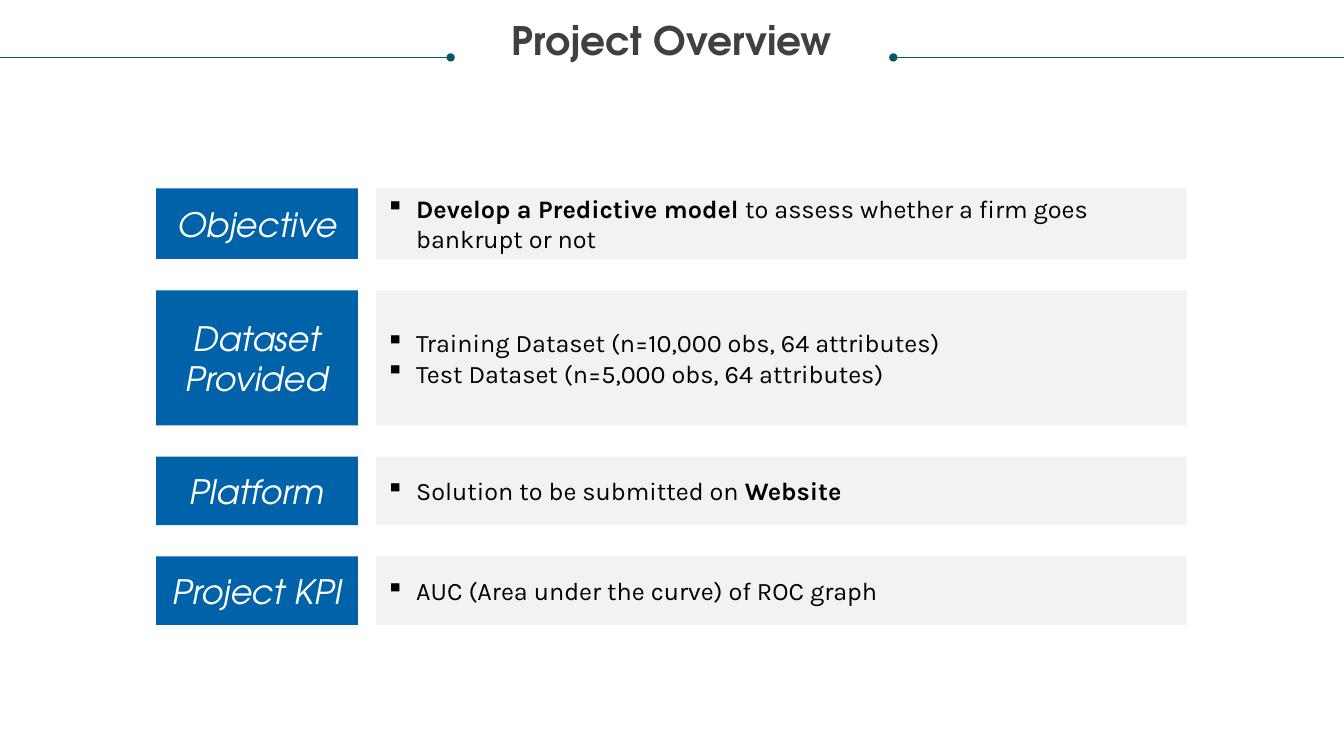
from lxml.etree import SubElement
from pptx import Presentation
from pptx.dml.color import RGBColor
from pptx.enum.shapes import MSO_CONNECTOR, MSO_SHAPE
from pptx.enum.text import MSO_ANCHOR, MSO_AUTO_SIZE, PP_ALIGN
from pptx.oxml.ns import qn
from pptx.util import Inches, Pt


def color(hex_string):
    return RGBColor.from_string(hex_string)


def set_font(font, name, size, hex_string, bold=False, italic=False):
    font.name = name
    font.size = Pt(size)
    font.color.rgb = color(hex_string)
    font.bold = bold
    font.italic = italic


class OverviewSlide:
    heading_font = "TeX Gyre Adventor"
    body_font = "Karla"
    label_fill = "0062A9"
    panel_fill = "F2F2F2"
    rule_color = "085764"
    cell = Inches(0.1)

    def __init__(self, presentation):
        self.slide = presentation.slides.add_slide(presentation.slide_layouts[5])

    def grid(self, *cells):
        return [round(count * self.cell) for count in cells]

    def title(self, text, *box):
        shape = self.slide.shapes.title
        shape.left, shape.top, shape.width, shape.height = self.grid(*box)
        frame = shape.text_frame
        frame.text = text
        frame.auto_size = MSO_AUTO_SIZE.NONE
        frame.vertical_anchor = MSO_ANCHOR.TOP
        frame.margin_left = frame.margin_right = 0
        frame.margin_top = frame.margin_bottom = 0
        paragraph = frame.paragraphs[0]
        paragraph.alignment = PP_ALIGN.CENTER
        paragraph.line_spacing = 0.9
        set_font(paragraph.font, self.heading_font, 28, "404040", bold=True)

    def dotted_rule(self, edge, dot, row):
        line = self.slide.shapes.add_connector(
            MSO_CONNECTOR.STRAIGHT, *self.grid(edge, row, dot, row))
        line.line.color.rgb = color(self.rule_color)
        line.line.width = Pt(0.5)
        SubElement(line.line._get_or_add_ln(), qn("a:tailEnd"), type="oval")
        SubElement(line._element.spPr, qn("a:effectLst"))

    def rectangle(self, fill, box):
        shape = self.slide.shapes.add_shape(MSO_SHAPE.RECTANGLE, *self.grid(*box))
        shape.shadow.inherit = False
        shape.fill.solid()
        shape.fill.fore_color.rgb = color(fill)
        shape.line.fill.background()
        frame = shape.text_frame
        frame.word_wrap = True
        frame.vertical_anchor = MSO_ANCHOR.MIDDLE
        frame.margin_left = frame.margin_right = Inches(0.1)
        frame.margin_top = frame.margin_bottom = Inches(0.04)
        return frame

    def label(self, text, *box):
        frame = self.rectangle(self.label_fill, box)
        frame.text = text
        paragraph = frame.paragraphs[0]
        paragraph.alignment = PP_ALIGN.CENTER
        set_font(paragraph.font, self.heading_font, 24, "FFFFFF", italic=True)

    def bullet_panel(self, items, *box):
        frame = self.rectangle(self.panel_fill, box)
        for index, runs in enumerate(items):
            paragraph = frame.add_paragraph() if index else frame.paragraphs[0]
            paragraph.alignment = PP_ALIGN.LEFT
            set_font(paragraph.font, self.body_font, 18, "000000")
            self.add_bullet(paragraph)
            for text, bold in runs:
                run = paragraph.add_run()
                run.text = text
                if bold:
                    run.font.bold = True

    def add_bullet(self, paragraph):
        properties = paragraph._p.get_or_add_pPr()
        properties.set("marL", str(Inches(0.3)))
        properties.set("indent", str(-Inches(0.3)))
        bullet = properties.makeelement(qn("a:buChar"), {"char": "▪"})
        properties.insert(0, bullet)


SLIDE_COLUMNS = 133.3
LABEL_LEFT, LABEL_WIDTH = 15.5, 20
PANEL_LEFT, PANEL_WIDTH = 37.3, 80.4
FIRST_ROW, ROW_GAP = 18.7, 3.1
RULE_ROW, RULE_LENGTH = 5.7, 44.7

SECTIONS = [
    ("Objective", 7, [[("Develop a Predictive model ", True),
                       ("to assess whether a firm goes bankrupt or not", False)]]),
    ("Dataset Provided", 13.4, [[("Training Dataset (n=10,000 obs, 64 attributes)", False)],
                                [("Test Dataset (n=5,000 obs, 64 attributes)", False)]]),
    ("Platform", 6.8, [[("Solution to be submitted on ", False), ("Website", True)]]),
    ("Project KPI", 6.8, [[("AUC (Area under the curve) of ROC graph", False)]]),
]

presentation = Presentation()
presentation.slide_width = Inches(13.33)
presentation.slide_height = Inches(7.5)

overview = OverviewSlide(presentation)
overview.title("Project Overview", 2.5, 2.1, 128.3, 4.2)
overview.dotted_rule(0, RULE_LENGTH, RULE_ROW)
overview.dotted_rule(SLIDE_COLUMNS, SLIDE_COLUMNS - RULE_LENGTH, RULE_ROW)

top = FIRST_ROW
for name, height, items in SECTIONS:
    overview.label(name, LABEL_LEFT, top, LABEL_WIDTH, height)
    overview.bullet_panel(items, PANEL_LEFT, top, PANEL_WIDTH, height)
    top += height + ROW_GAP

presentation.save("out.pptx")
